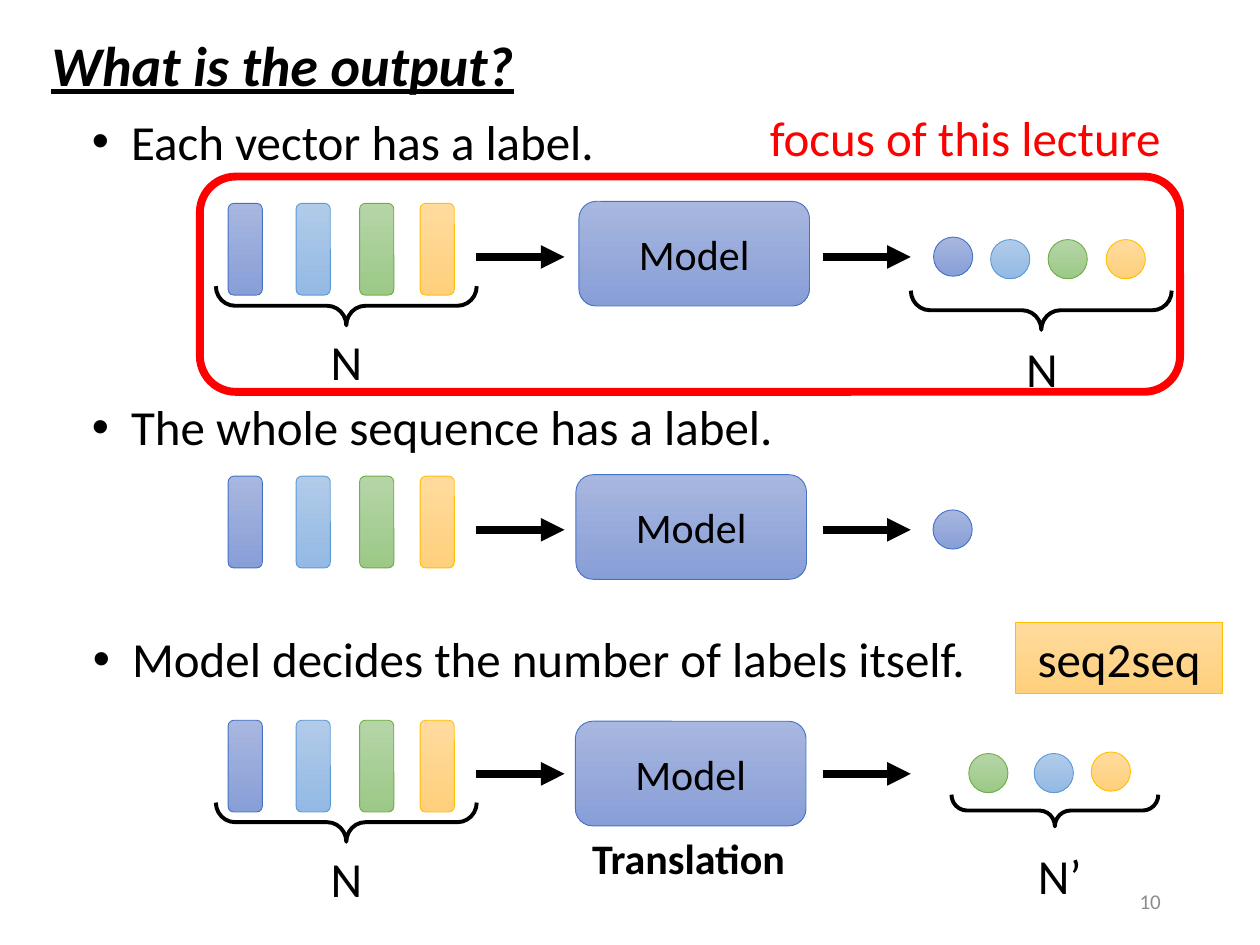
from dataclasses import dataclass

import pptx
import pptx.dml.color
import pptx.enum.shapes
import pptx.enum.text
import pptx.oxml
import pptx.oxml.ns
import pptx.util

Cm = pptx.util.Cm
Pt = pptx.util.Pt
Shapes = pptx.enum.shapes.MSO_SHAPE
Align = pptx.enum.text.PP_ALIGN
Anchor = pptx.enum.text.MSO_ANCHOR

FONT = "Calibri"
NAMESPACE = pptx.oxml.ns.nsdecls("a")
COLORS = {"black": "000000", "red": "FF0000", "gray": "8C8C8C"}
# Gradient top, gradient bottom, outline
GRADIENTS = {
    "indigo": ("A8B7DF", "889ED7", "4472C4"),
    "blue": ("B1CBE9", "93B9E4", "5B9BD5"),
    "green": ("B5D5A7", "9CC987", "70AD47"),
    "gold": ("FFDB9E", "FFD07C", "FFC000"),
}
VECTOR_LEFTS = {"indigo": 4.6, "blue": 5.97, "green": 7.25, "gold": 8.47}
ARROW_SPANS = ((9.6, 11.38), (16.59, 18.36))
DOT_SIZE = 0.79


@dataclass
class Box:
    """Position and size in centimetres."""
    left: float
    top: float
    width: float
    height: float

    def lengths(self) -> list:
        return [Cm(v) for v in (self.left, self.top, self.width, self.height)]


@dataclass
class Brace:
    box: Box
    label: str
    label_left: float
    label_top: float


@dataclass
class Flow:
    """One row: vectors, arrow, model, arrow, output dots."""
    middle: float
    model_left: float
    model_top: float
    dots: list
    braces: list


FLOWS = [
    Flow(5.18, 11.67, 4.06,
         [("indigo", 18.82, 4.78), ("blue", 19.97, 4.83),
          ("green", 21.13, 4.83), ("gold", 22.3, 4.83)],
         [Brace(Box(4.35, 5.77, 5.26, 0.79), "N", 5.79, 6.55),
          Brace(Box(18.36, 5.86, 5.26, 0.79), "N", 19.81, 6.7)]),
    Flow(10.68, 11.61, 9.57, [("indigo", 18.81, 10.28)], []),
    Flow(15.6, 11.6, 14.54,
         [("green", 19.53, 15.19), ("blue", 20.85, 15.19), ("gold", 22, 15.16)],
         [Brace(Box(4.35, 16.18, 5.26, 0.79), "N", 5.79, 16.99),
          Brace(Box(19.18, 16.02, 4.17, 0.64), "N’", 20.17, 16.91)]),
]

# Bullet text and its box
BULLETS = [
    ("Each vector has a label.", Box(1.6, 2.12, 12.7, 1.45)),
    ("The whole sequence has a label.", Box(1.6, 7.87, 17.58, 1.45)),
    ("Model decides the number of labels itself.", Box(1.62, 12.55, 18.8, 1.45)),
]


def rgb(value: str):
    return pptx.dml.color.RGBColor.from_string(value)


def add_run(paragraph, text: str, size: float, color: str = "black", bold: bool = False):
    run = paragraph.add_run()
    run.text = text
    run.font.name = FONT
    run.font.size = Pt(size)
    run.font.bold = bold
    run.font.color.rgb = rgb(COLORS[color])
    return run


def add_text(slide, box: Box, text: str, size: float = 28, color: str = "black",
             bold: bool = False, align=Align.CENTER, anchor=Anchor.TOP) -> None:
    frame = slide.shapes.add_textbox(*box.lengths()).text_frame
    frame.word_wrap = True
    frame.vertical_anchor = anchor
    frame.paragraphs[0].alignment = align
    add_run(frame.paragraphs[0], text, size, color, bold)


def add_gradient_shape(slide, kind, box: Box, color: str, text: str = "", size: float = 24) -> None:
    shape = slide.shapes.add_shape(kind, *box.lengths())
    shape.shadow.inherit = False
    top, bottom, outline = GRADIENTS[color]
    shape.fill.gradient()
    shape.fill.gradient_angle = 270
    for stop, value, position in zip(shape.fill.gradient_stops, (top, bottom), (0, 1)):
        stop.color.rgb = rgb(value)
        stop.position = position
    shape.line.color.rgb = rgb(outline)
    shape.line.width = Pt(0.5)
    if text:
        shape.text_frame.vertical_anchor = Anchor.MIDDLE
        paragraph = shape.text_frame.paragraphs[0]
        paragraph.alignment = Align.CENTER
        add_run(paragraph, text, size)


def add_outline(slide, kind, box: Box, color: str, width: float):
    shape = slide.shapes.add_shape(kind, *box.lengths())
    shape.shadow.inherit = False
    shape.fill.background()
    shape.line.color.rgb = rgb(COLORS[color])
    shape.line.width = Pt(width)
    return shape


def add_arrow(slide, start: float, end: float, y: float) -> None:
    arrow = slide.shapes.add_connector(
        pptx.enum.shapes.MSO_CONNECTOR.STRAIGHT, Cm(start), Cm(y), Cm(end), Cm(y))
    arrow.line.color.rgb = rgb(COLORS["black"])
    arrow.line.width = Pt(4.5)
    arrow.line._get_or_add_ln().append(
        pptx.oxml.parse_xml(f'<a:tailEnd {NAMESPACE} type="triangle"/>'))
    arrow._element.spPr.append(pptx.oxml.parse_xml(f"<a:effectLst {NAMESPACE}/>"))


def add_brace(slide, brace: Brace) -> None:
    # A right brace turned a quarter: swap the sides around the same centre
    box = brace.box
    shift = (box.width - box.height) / 2
    upright = Box(box.left + shift, box.top - shift, box.height, box.width)
    shape = add_outline(slide, Shapes.RIGHT_BRACE, upright, "black", 2.25)
    shape.adjustments[0] = 0.49
    shape.rotation = 90
    add_text(slide, Box(brace.label_left, brace.label_top, 2.39, 1.45), brace.label)


def add_flow(slide, flow: Flow) -> None:
    for color, left in VECTOR_LEFTS.items():
        add_gradient_shape(slide, Shapes.ROUNDED_RECTANGLE,
                           Box(left, flow.middle - 1.08, 0.69, 1.85), color)
    for start, end in ARROW_SPANS:
        add_arrow(slide, start, end, flow.middle)
    add_gradient_shape(slide, Shapes.ROUNDED_RECTANGLE,
                       Box(flow.model_left, flow.model_top, 4.65, 2.11), "indigo", "Model")
    for color, left, top in flow.dots:
        add_gradient_shape(slide, Shapes.OVAL, Box(left, top, DOT_SIZE, DOT_SIZE), color)
    for brace in flow.braces:
        add_brace(slide, brace)


def place(placeholder, box: Box):
    placeholder.left, placeholder.top, placeholder.width, placeholder.height = box.lengths()
    frame = placeholder.text_frame
    frame.auto_size = pptx.enum.text.MSO_AUTO_SIZE.NONE
    frame.vertical_anchor = Anchor.TOP
    return frame.paragraphs[0]


def fill_bullet(placeholder, text: str, box: Box) -> None:
    paragraph = place(placeholder, box)
    paragraph.space_before = Pt(0)
    properties = paragraph._p.get_or_add_pPr()
    properties.set("marL", str(Cm(0.79)))
    properties.set("indent", str(-Cm(0.79)))
    for tag in ('buFont {} typeface="Arial"', 'buChar {} char="•"'):
        properties.append(pptx.oxml.parse_xml(f"<a:{tag.format(NAMESPACE)}/>"))
    add_run(paragraph, text, 28)


def main() -> None:
    presentation = pptx.Presentation()
    presentation.slide_width, presentation.slide_height = Cm(25.4), Cm(19.05)
    # The comparison layout has a title and four body placeholders
    slide = presentation.slides.add_slide(presentation.slide_layouts[4])

    # Title
    paragraph = place(slide.shapes.title, Box(0.78, 0.48, 12.7, 1.63))
    paragraph.alignment = Align.LEFT
    run = add_run(paragraph, "What is the output?", 32, bold=True)
    run.font.italic = run.font.underline = True

    # Bullets, one above each flow; the spare placeholder goes
    *bodies, spare = list(slide.placeholders)[1:]
    for body, (text, box) in zip(bodies, BULLETS):
        fill_bullet(body, text, box)
    spare._element.getparent().remove(spare._element)

    # Flows
    for flow in FLOWS:
        add_flow(slide, flow)

    # Notes on the flows
    add_text(slide, Box(9.83, 16.66, 8.1, 1.27), "Translation", 24, bold=True)
    add_gradient_shape(slide, Shapes.RECTANGLE, Box(20.47, 12.54, 4.18, 1.45),
                       "gold", "seq2seq", 28)
    add_outline(slide, Shapes.ROUNDED_RECTANGLE, Box(4.03, 3.56, 19.76, 4.34), "red", 4.5)
    add_text(slide, Box(15.27, 2.05, 8.99, 1.45), "focus of this lecture",
             color="red", align=Align.LEFT)

    # Page number
    add_text(slide, Box(17.93, 17.65, 5.72, 1.02), "10", 12, "gray",
             align=Align.RIGHT, anchor=Anchor.MIDDLE)

    presentation.save("out.pptx")


if __name__ == "__main__":
    main()
